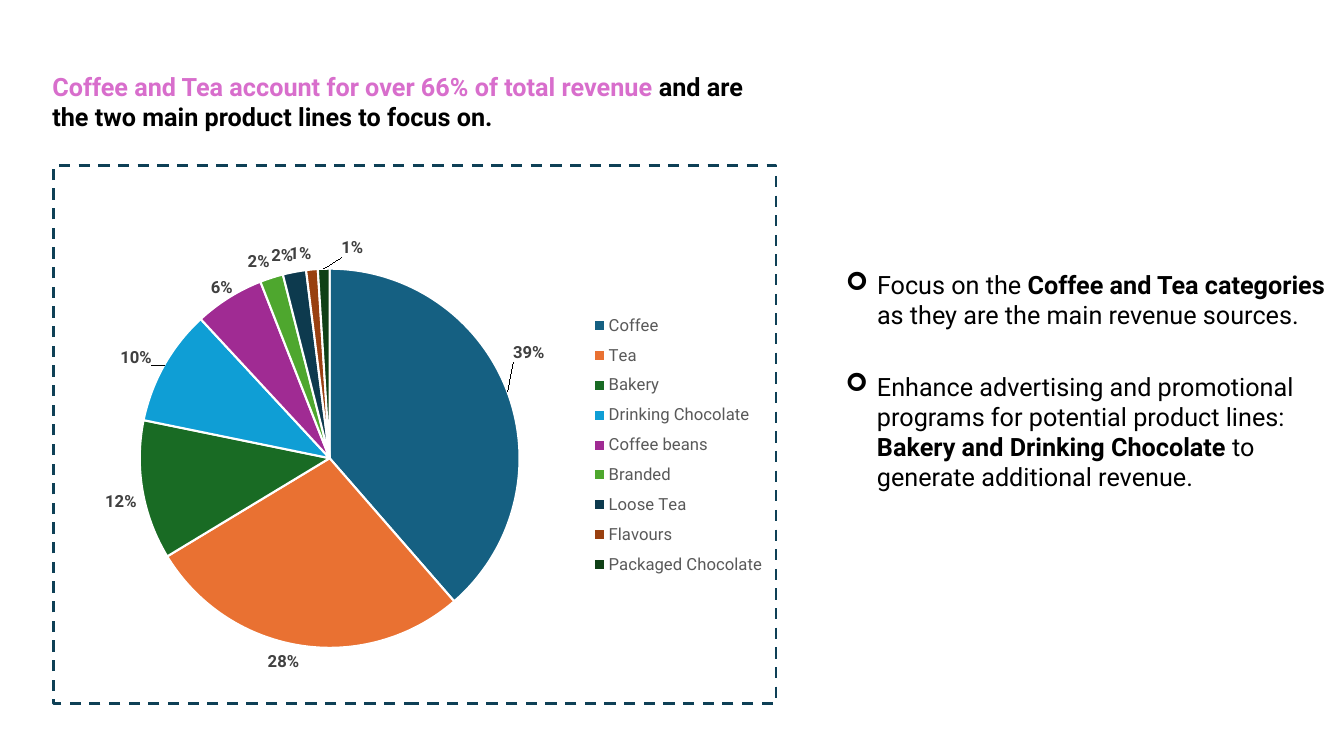
"""Build the slide on revenue share by product line."""
from dataclasses import dataclass
from typing import Any

import lxml.etree
import pptx
import pptx.chart.chart
import pptx.chart.data
import pptx.dml.color
import pptx.enum.chart
import pptx.oxml
import pptx.oxml.ns
import pptx.slide
import pptx.util

RGBColor = pptx.dml.color.RGBColor
Inches = pptx.util.Inches
Pt = pptx.util.Pt
qn = pptx.oxml.ns.qn

BLACK = RGBColor(0x00, 0x00, 0x00)
WHITE = RGBColor(0xFF, 0xFF, 0xFF)
PINK = RGBColor(0xD8, 0x6E, 0xCC)
LABEL_GREY = RGBColor(0x40, 0x40, 0x40)
LEGEND_GREY = RGBColor(0x59, 0x59, 0x59)
BORDER_BLUE = RGBColor(0x0E, 0x40, 0x56)
BLUE = RGBColor(0x15, 0x60, 0x82)
ORANGE = RGBColor(0xE9, 0x71, 0x32)
GREEN = RGBColor(0x19, 0x6B, 0x24)
SKY = RGBColor(0x0F, 0x9E, 0xD5)
PURPLE = RGBColor(0xA0, 0x2B, 0x93)
LIME = RGBColor(0x4E, 0xA7, 0x2E)
NAVY = RGBColor(0x0D, 0x3A, 0x4E)
BROWN = RGBColor(0x99, 0x40, 0x10)
DARK_GREEN = RGBColor(0x0F, 0x40, 0x16)

FONT = "Roboto"
PERCENT = "0%"
BODY_FORMAT = {"name": FONT, "size": Pt(18)}
CHART_FORMAT = {"name": FONT, "size": Pt(10)}
LABEL_FORMAT = {"name": FONT, "size": Pt(12), "bold": True}
LEGEND_FORMAT = {"name": FONT, "size": Pt(12), "bold": False}
CHART_NS = 'xmlns:c="http://schemas.openxmlformats.org/drawingml/2006/chart"'
DRAWING_NS = 'xmlns:a="http://schemas.openxmlformats.org/drawingml/2006/main"'


@dataclass(frozen=True)
class ProductLine:
    name: str
    share: int
    color: RGBColor
    label_shift: tuple[float, float] | None = None


@dataclass(frozen=True)
class Phrase:
    text: str
    bold: bool = False
    color: RGBColor = BLACK


@dataclass(frozen=True)
class Message:
    left: float
    top: float
    width: float
    height: float
    phrases: tuple[Phrase, ...]
    bulleted: bool = True


PRODUCT_LINES = (
    ProductLine("Coffee", 39, BLUE, (0.0, -0.05)),
    ProductLine("Tea", 28, ORANGE),
    ProductLine("Bakery", 12, GREEN),
    ProductLine("Drinking Chocolate", 10, SKY, (-0.01, 0.01)),
    ProductLine("Coffee beans", 6, PURPLE, (0.01, 0.01)),
    ProductLine("Branded", 2, LIME),
    ProductLine("Loose Tea", 2, NAVY),
    ProductLine("Flavours", 1, BROWN),
    ProductLine("Packaged Chocolate", 1, DARK_GREEN, (0.04, -0.01)),
)

MESSAGES = (
    Message(0.42, 0.66, 7.29, 0.71, (
        Phrase("Coffee and Tea account for over 66% of total revenue ", True, PINK),
        Phrase("and are the two main product lines to focus on.", True),
    ), bulleted=False),
    Message(8.29, 2.62, 5.05, 0.71, (
        Phrase("Focus on the "),
        Phrase("Coffee and Tea categories ", True),
        Phrase("as they are the main revenue sources."),
    )),
    Message(8.29, 3.63, 4.93, 1.31, (
        Phrase("Enhance advertising and promotional programs for potential product lines: "),
        Phrase("Bakery and Drinking Chocolate ", True),
        Phrase("to generate additional revenue."),
    )),
)


def apply_format(font: Any, values: dict[str, Any], color: RGBColor) -> None:
    """Set each font attribute, then the colour."""
    for attribute, value in values.items():
        setattr(font, attribute, value)
    font.color.rgb = color


def manual_layout(**settings: Any) -> lxml.etree._Element:
    """Return a chart layout element with the given settings."""
    entries = "".join(f'<c:{key} val="{value}"/>' for key, value in settings.items())
    return pptx.oxml.parse_xml(
        f"<c:layout {CHART_NS}><c:manualLayout>{entries}</c:manualLayout></c:layout>")


def add_message(slide: pptx.slide.Slide, message: Message) -> None:
    """Write one text block, with an arrow bullet where wanted."""
    box = slide.shapes.add_textbox(Inches(message.left), Inches(message.top),
                                   Inches(message.width), Inches(message.height))
    box.text_frame.word_wrap = True
    paragraph = box.text_frame.paragraphs[0]
    for phrase in message.phrases:
        run = paragraph.add_run()
        run.text = phrase.text
        apply_format(run.font, BODY_FORMAT | {"bold": phrase.bold}, phrase.color)
    if message.bulleted:
        properties = paragraph._p.get_or_add_pPr()
        properties.set("marL", str(Inches(0.31)))
        properties.set("indent", str(-Inches(0.31)))
        lxml.etree.SubElement(properties, qn("a:buFont")).set("typeface", "Wingdings")
        lxml.etree.SubElement(properties, qn("a:buChar")).set("char", "➢")


def shift_label(label: lxml.etree._Element, shift: tuple[float, float]) -> None:
    """Move one percentage label away from its automatic place."""
    number_format = pptx.oxml.parse_xml(
        f'<c:numFmt {CHART_NS} formatCode="{PERCENT}" sourceLinked="0"/>')
    layout = manual_layout(x=shift[0], y=shift[1])
    label.find(qn("c:idx")).addnext(layout)
    layout.addnext(number_format)
    label.find(qn("c:showVal")).set("val", "0")
    label.find(qn("c:showPercent")).set("val", "1")


def style_slices(chart: pptx.chart.chart.Chart) -> None:
    """Colour the slices and label them with their percentages."""
    series = chart.plots[0].series[0]
    position = pptx.enum.chart.XL_LABEL_POSITION.OUTSIDE_END
    labels = series.data_labels
    settings = {"show_percentage": True, "show_value": False, "number_format": PERCENT,
                "number_format_is_linked": False, "position": position}
    for attribute, value in settings.items():
        setattr(labels, attribute, value)
    apply_format(labels.font, LABEL_FORMAT, LABEL_GREY)
    for index, product in enumerate(PRODUCT_LINES):
        point = series.points[index]
        point.format.fill.solid()
        point.format.fill.fore_color.rgb = product.color
        point.format.line.color.rgb = WHITE
        point.format.line.width = Pt(1.5)
        if product.label_shift:
            apply_format(point.data_label.font, LABEL_FORMAT, LABEL_GREY)
            point.data_label.position = position
            label = series._element.findall(f".//{qn('c:dLbl')}")[-1]
            shift_label(label, product.label_shift)


def add_revenue_chart(slide: pptx.slide.Slide) -> None:
    """Draw the revenue pie with its legend and dashed frame."""
    data = pptx.chart.data.CategoryChartData()
    data.categories = [product.name for product in PRODUCT_LINES]
    data.add_series("Series 1", [product.share for product in PRODUCT_LINES])
    chart = slide.shapes.add_chart(
        pptx.enum.chart.XL_CHART_TYPE.PIE, Inches(0.52), Inches(1.63),
        Inches(7.19), Inches(5.36), data).chart
    chart.has_title = False
    apply_format(chart.font, CHART_FORMAT, BLACK)
    style_slices(chart)

    chart.has_legend = True
    chart.legend.position = pptx.enum.chart.XL_LEGEND_POSITION.RIGHT
    chart.legend.include_in_layout = True
    apply_format(chart.legend.font, LEGEND_FORMAT, LEGEND_GREY)
    chart.legend._element.find(qn("c:legendPos")).addnext(manual_layout(
        xMode="edge", yMode="edge", x=0.74, y=0.26, w=0.25, h=0.52))

    space = chart._chartSpace
    plot_area = space.find(f".//{qn('c:plotArea')}")
    for layout in plot_area.findall(qn("c:layout")):
        plot_area.remove(layout)
    plot_area.insert(0, manual_layout(layoutTarget="inner", xMode="edge", yMode="edge",
                                      x=0.119, y=0.162, w=0.526, h=0.765))
    space.find(qn("c:chart")).addnext(pptx.oxml.parse_xml(
        f'<c:spPr {CHART_NS} {DRAWING_NS}><a:noFill/><a:ln w="{Pt(2)}"><a:solidFill>'
        f'<a:srgbClr val="{BORDER_BLUE}"/></a:solidFill><a:prstDash val="dash"/></a:ln></c:spPr>'))


def main() -> None:
    """Build and save the presentation."""
    presentation = pptx.Presentation()
    presentation.slide_width = Inches(13.33)
    presentation.slide_height = Inches(7.5)
    slide = presentation.slides.add_slide(presentation.slide_layouts[6])
    add_revenue_chart(slide)
    for message in MESSAGES:
        add_message(slide, message)
    presentation.save("out.pptx")


if __name__ == "__main__":
    main()
